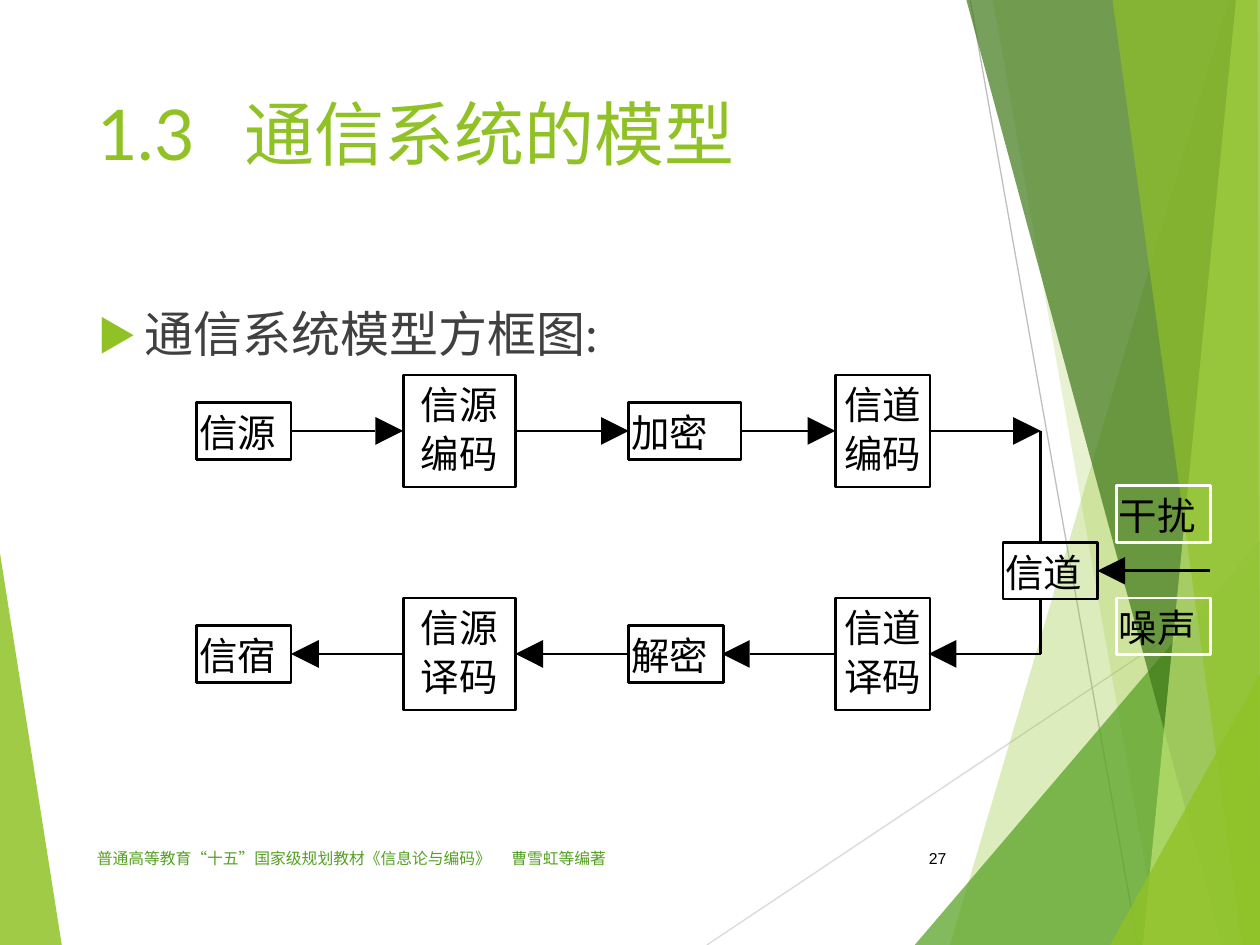
from lxml import etree
from pptx import Presentation
from pptx import util as u
from pptx.dml import color
from pptx.enum import shapes, text
from pptx.oxml import ns

GREEN, LEAF, BLACK, WHITE = "90C226", "54A021", "000000", "FFFFFF"
CJK = "Noto Sans CJK SC"

# Template facets: outline points, colour, opacity in percent
LEFT_FACET = ([(0, 4.39), (0.49, 7.5), (0, 7.5)], GREEN, 85)
RIGHT_FACETS = [
    ([(9.75, 0), (7.54, 7.5), (10, 7.5), (10, 0)], GREEN, 30),
    ([(7.88, 0), (9.2, 7.5), (10, 7.5), (10, 0)], GREEN, 20),
    ([(7.26, 7.5), (10, 4.29), (10, 7.5)], LEAF, 72),
    ([(7.67, 0), (9.7, 7.5), (10, 7.5), (10, 0)], "3F7819", 70),
    ([(9.81, 0), (9.07, 7.5), (10, 7.5), (10, 0)], "C0E474", 70),
    ([(8.83, 0), (9.86, 7.5), (10, 7.5), (9.98, 0)], GREEN, 65),
    ([(8.81, 7.5), (10, 5.35), (10, 7.5)], GREEN, 80),
]

# Diagram rows and box sizes
SEND_Y, RECEIVE_Y, NOISE_Y = 3.42, 5.19, 4.53
BEND_X, HEAD = 8.26, 0.22
LOW, TALL = 0.45, 0.89

# Stages: left, middle height, width, lines, outline
STAGES = [
    (1.56, SEND_Y, 0.75, ["信源"], BLACK),
    (3.2, SEND_Y, 0.89, ["信源", "编码"], BLACK),
    (4.99, SEND_Y, 0.89, ["加密"], BLACK),
    (6.63, SEND_Y, 0.75, ["信道", "编码"], BLACK),
    (1.56, RECEIVE_Y, 0.75, ["信宿"], BLACK),
    (3.2, RECEIVE_Y, 0.89, ["信源", "译码"], BLACK),
    (4.99, RECEIVE_Y, 0.75, ["解密"], BLACK),
    (6.63, RECEIVE_Y, 0.75, ["信道", "译码"], BLACK),
    (7.96, NOISE_Y, 0.75, ["信道"], BLACK),
    (8.86, 4.08, 0.75, ["干扰"], WHITE),
    (8.86, 4.97, 0.75, ["噪声"], WHITE),
]

# Flows: start, tip, height
FLOWS = [
    (2.31, 3.2, SEND_Y), (4.09, 4.99, SEND_Y),
    (5.88, 6.63, SEND_Y), (7.37, BEND_X, SEND_Y),
    (BEND_X, 7.37, RECEIVE_Y), (6.63, 5.73, RECEIVE_Y),
    (4.99, 4.09, RECEIVE_Y), (3.2, 2.31, RECEIVE_Y),
    (9.6, 8.71, NOISE_Y),
]


def rgb(hex_value):
    return color.RGBColor.from_string(hex_value)


def add_xml(parent, tag, **attributes):
    return etree.SubElement(parent, ns.qn(tag), attributes)


def apply_format(target, values):
    for name, value in values.items():
        setattr(target, name, value)


def write(frame, wording, size, typeface, hex_value, **frame_format):
    apply_format(frame, {"auto_size": text.MSO_AUTO_SIZE.NONE,
                         "vertical_anchor": text.MSO_ANCHOR.TOP,
                         "word_wrap": True, **frame_format})
    paragraph = frame.paragraphs[0]
    apply_format(paragraph, {"alignment": text.PP_ALIGN.LEFT,
                             "space_before": u.Pt(0)})
    run = paragraph.add_run()
    run.text = wording
    apply_format(run.font, {"size": u.Pt(size), "name": typeface})
    run.font.color.rgb = rgb(hex_value)
    add_xml(run.font._element, "a:ea", typeface=CJK)
    return paragraph


def place(shape, left, top, width, height):
    apply_format(shape, {"left": u.Inches(left), "top": u.Inches(top),
                         "width": u.Inches(width), "height": u.Inches(height)})


def add_tab(paragraph, position):
    tabs = add_xml(paragraph._p.get_or_add_pPr(), "a:tabLst")
    add_xml(tabs, "a:tab", pos=str(u.Inches(position)), algn="l")


def add_bullet(paragraph):
    properties = paragraph._p.get_or_add_pPr()
    properties.set("marL", str(u.Inches(0.38)))
    properties.set("indent", str(-u.Inches(0.38)))
    add_xml(add_xml(properties, "a:buClr"), "a:srgbClr", val=GREEN)
    add_xml(properties, "a:buSzPct", val="80000")
    add_xml(properties, "a:buFont", typeface=CJK)
    add_xml(properties, "a:buChar", char="▶")


def add_text(slide, wording, box, size, typeface, hex_value, **frame_format):
    label = slide.shapes.add_textbox(*map(u.Inches, box))
    return write(label.text_frame, wording, size, typeface, hex_value,
                 **frame_format)


def add_line(slide, start, end, hex_value=BLACK, width=1.5):
    line = slide.shapes.add_connector(
        shapes.MSO_CONNECTOR.STRAIGHT, *map(u.Inches, (*start, *end)))
    line.line.color.rgb = rgb(hex_value)
    line.line.width = u.Pt(width)
    add_xml(line._element.spPr, "a:effectLst")


def add_polygon(slide, points, hex_value, opacity=100):
    first, *rest = [(u.Inches(x), u.Inches(y)) for x, y in points]
    builder = slide.shapes.build_freeform(*first)
    builder.add_line_segments(rest, close=True)
    polygon = builder.convert_to_shape()
    polygon.shadow.inherit = False
    polygon.line.fill.background()
    polygon.fill.solid()
    polygon.fill.fore_color.rgb = rgb(hex_value)
    if opacity < 100:
        tint = polygon._element.spPr.find(".//" + ns.qn("a:srgbClr"))
        add_xml(tint, "a:alpha", val=str(opacity * 1000))


def add_stage(slide, left, middle, width, lines, outline):
    height = TALL if len(lines) > 1 else LOW
    top = middle - height / 2
    box = slide.shapes.add_shape(shapes.MSO_SHAPE.RECTANGLE,
                                 *map(u.Inches, (left, top, width, height)))
    box.shadow.inherit = False
    box.fill.background()
    box.line.color.rgb = rgb(outline)
    box.line.width = u.Pt(1.5)
    inset = (width - 0.61) / 2 if len(lines) > 1 else 0.02
    no_margins = dict.fromkeys(
        ("margin_left", "margin_top", "margin_right", "margin_bottom"), 0)
    for row, wording in enumerate(lines):
        add_text(slide, wording,
                 (left + inset, top + 0.05 + 0.39 * row, 0.61, 0.37),
                 22, CJK, BLACK, **{**no_margins, "word_wrap": False})


def add_flow(slide, start, tip, y):
    base = tip - HEAD if tip > start else tip + HEAD
    add_line(slide, (start, y), (base, y))
    add_polygon(slide, [(base, y - HEAD / 2), (tip, y), (base, y + HEAD / 2)],
                BLACK)


def add_backdrop(slide):
    add_polygon(slide, *LEFT_FACET)
    add_line(slide, (5.61, 7.5), (10, 4.57), "D9D9D9", 0.75)
    add_line(slide, (7.7, 0), (9.03, 7.5), "BFBFBF", 0.75)
    for facet in RIGHT_FACETS:
        add_polygon(slide, *facet)


def add_headings(slide):
    title, body = slide.placeholders
    for holder in (title, body):  # bring in front of the backdrop
        holder.element.getparent().append(holder.element)
    place(title, 0.67, 0.67, 6.94, 1.44)
    add_tab(write(title.text_frame, "1.3\t通信系统的模型", 40, "Lato", GREEN),
            1.17)
    place(body, 0.67, 2.36, 6.94, 4.24)
    add_bullet(write(body.text_frame, "通信系统模型方框图:", 28, "Lato",
                     "404040"))


def add_footer(slide):
    middle = {"vertical_anchor": text.MSO_ANCHOR.MIDDLE}
    credit = add_text(
        slide, "普通高等教育“十五”国家级规划教材《信息论与编码》\t曹雪虹等编著",
        (0.67, 6.61, 5.06, 0.4), 9, "Arial", LEAF, **middle)
    add_tab(credit, 3.29)
    number = add_text(slide, "27", (7.05, 6.61, 0.56, 0.4), 9, "Arial", BLACK,
                      **middle)
    number.alignment = text.PP_ALIGN.RIGHT


def main():
    deck = Presentation()
    deck.slide_width, deck.slide_height = u.Inches(10), u.Inches(7.5)
    slide = deck.slides.add_slide(deck.slide_layouts[1])
    add_backdrop(slide)
    add_headings(slide)
    add_footer(slide)
    # Block diagram
    for stage in STAGES:
        add_stage(slide, *stage)
    for flow in FLOWS:
        add_flow(slide, *flow)
    add_line(slide, (BEND_X, SEND_Y), (BEND_X, 4.31))
    add_line(slide, (BEND_X, 4.75), (BEND_X, RECEIVE_Y))
    deck.save("out.pptx")


if __name__ == "__main__":
    main()
